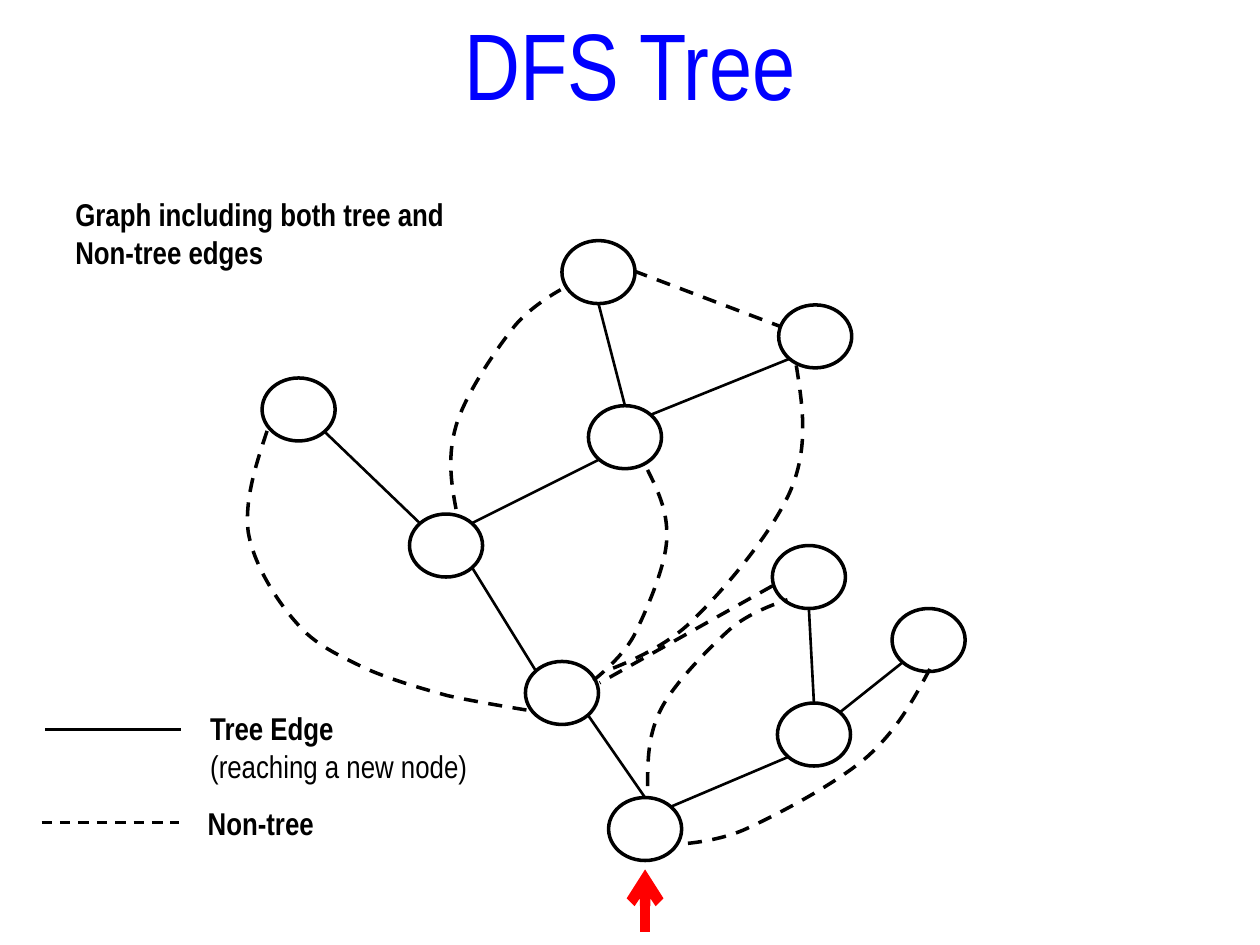
"""Build a slide showing a DFS tree with its tree and non-tree edges."""
from dataclasses import dataclass

from lxml import etree
from pptx import Presentation
from pptx.dml.color import RGBColor
from pptx.enum.dml import MSO_LINE
from pptx.enum.shapes import MSO_CONNECTOR, MSO_SHAPE
from pptx.enum.text import MSO_AUTO_SIZE, PP_ALIGN
from pptx.oxml.ns import qn
from pptx.util import Pt

STRAIGHT = MSO_CONNECTOR.STRAIGHT
OVAL = MSO_SHAPE.OVAL
DASH = MSO_LINE.DASH
GROW = MSO_AUTO_SIZE.SHAPE_TO_FIT_TEXT
LEFT, CENTER = PP_ALIGN.LEFT, PP_ALIGN.CENTER
PX = 9144


@dataclass(frozen=True)
class Theme:
    font: str = "Arial Narrow"
    title: RGBColor = RGBColor(0, 0, 255)
    ink: RGBColor = RGBColor(0, 0, 0)
    start: RGBColor = RGBColor(255, 0, 0)
    title_size: int = 54
    body_size: int = 18
    thin: float = 1.5
    medium: float = 2
    thick: float = 6


theme = Theme()
deck = Presentation()
deck.slide_width, deck.slide_height = 1000 * PX, 750 * PX
page = deck.slides.add_slide(deck.slide_layouts[6])


def add_text(text, *, at, size=theme.body_size, color=theme.ink, bold=(True, True), align=LEFT, wrap=True):
    box = page.shapes.add_textbox(*(value * PX for value in at))
    frame = box.text_frame
    frame.word_wrap, frame.auto_size = wrap, GROW
    frame.text = text
    for para, weight in zip(frame.paragraphs, bold):
        para.alignment = align
        para.font.name, para.font.size = theme.font, Pt(size)
        para.font.bold, para.font.color.rgb = weight, color


def add_line(start, end, width=theme.thin, color=theme.ink, dash=None):
    line = page.shapes.add_connector(STRAIGHT, *(value * PX for value in (*start, *end)))
    line.line.color.rgb, line.line.width = color, Pt(width)
    line.line.dash_style = dash
    etree.SubElement(line._element.spPr, qn("a:effectLst"))
    return line


add_text("DFS Tree", at=(254, 0, 492, 101), size=theme.title_size, color=theme.title,
         bold=(False,), align=CENTER)
add_line((36, 579), (144, 579))
add_text("Tree Edge\n(reaching a new node)", at=(157, 558, 281, 71), bold=(True, False))
start_arrow = add_line((512, 690), (512, 740), theme.thick, theme.start)
etree.SubElement(start_arrow.line._get_or_add_ln(), qn("a:headEnd"), type="arrow")
add_line((33, 653), (142, 653), dash=DASH)
add_text("Non-tree", at=(155, 633, 281, 40))

node_width, node_height = 58, 50
nodes = {
    "root": (483, 633), "trunk": (417, 525), "fork": (325, 408), "left leaf": (208, 300),
    "crown": (467, 322), "right leaf": (618, 242), "top leaf": (446, 191),
    "branch": (617, 558), "far leaf": (708, 483), "near leaf": (613, 433),
}
for left, top in nodes.values():
    node = page.shapes.add_shape(OVAL, left * PX, top * PX, node_width * PX, node_height * PX)
    node.shadow.inherit = False
    node.fill.background()
    node.line.color.rgb, node.line.width = theme.ink, Pt(theme.medium)

sites = {"N": (29, 0), "NE": (50, 7), "SE": (50, 43), "S": (29, 50), "SW": (8, 43), "NW": (8, 7)}
tree_edges = [
    ("left leaf", "SE", "fork", "NW"), ("fork", "SE", "trunk", "NW"),
    ("trunk", "SE", "root", "N"), ("fork", "NE", "crown", "SW"),
    ("top leaf", "S", "crown", "N"), ("crown", "NE", "right leaf", "SW"),
    ("root", "NE", "branch", "SW"), ("branch", "N", "near leaf", "S"),
    ("branch", "NE", "far leaf", "SW"),
]
for source, source_site, target, target_site in tree_edges:
    ends = [[base + shift for base, shift in zip(nodes[name], sites[site])]
            for name, site in ((source, source_site), (target, target_site))]
    add_line(*ends)

for start, end in (((503, 215), (619, 259)), ((613, 465), (476, 542))):
    add_line(start, end, theme.medium, dash=DASH)

curved_edges = [
    [(212, 342), (203, 369), (194, 397), (197, 422), (201, 447), (219, 476), (235, 494),
     (250, 512), (269, 520), (289, 530), (309, 539), (333, 546), (355, 552),
     (377, 557), (421, 564), (421, 564)],
    [(514, 373), (523, 391), (531, 408), (529, 431), (527, 453), (512, 487), (503, 505),
     (493, 523), (471, 540), (471, 540)],
    [(362, 404), (358, 383), (355, 362), (362, 338), (369, 314), (392, 280), (406, 262),
     (419, 244), (445, 230), (445, 230)],
    [(632, 290), (637, 322), (642, 354), (628, 388), (614, 422), (574, 469), (549, 493),
     (525, 517), (482, 532), (482, 532)],
    [(738, 531), (725, 555), (713, 578), (689, 600), (665, 621), (620, 645), (594, 657),
     (569, 669), (537, 670), (537, 670)],
    [(514, 624), (514, 604), (514, 583), (525, 562), (536, 541), (565, 512), (581, 498),
     (598, 484), (625, 476), (625, 476)],
]
for first, *controls in curved_edges:
    builder = page.shapes.build_freeform(*first, scale=PX)
    builder.add_line_segments(controls, close=False)
    curve = builder.convert_to_shape()
    curve.shadow.inherit = False
    curve.fill.background()
    curve.line.color.rgb, curve.line.width = theme.ink, Pt(theme.medium)
    curve.line.dash_style = DASH
    outline = next(curve._element.iter(qn("a:path")))
    segments = outline.findall(qn("a:lnTo"))
    for index in range(0, len(segments), 3):
        bezier = etree.SubElement(outline, qn("a:cubicBezTo"))
        for segment in segments[index:index + 3]:
            bezier.append(segment[0])
            outline.remove(segment)

add_text("Graph including both tree and\nNon-tree edges", at=(50, 150, 316, 71), wrap=False)

deck.save("out.pptx")
